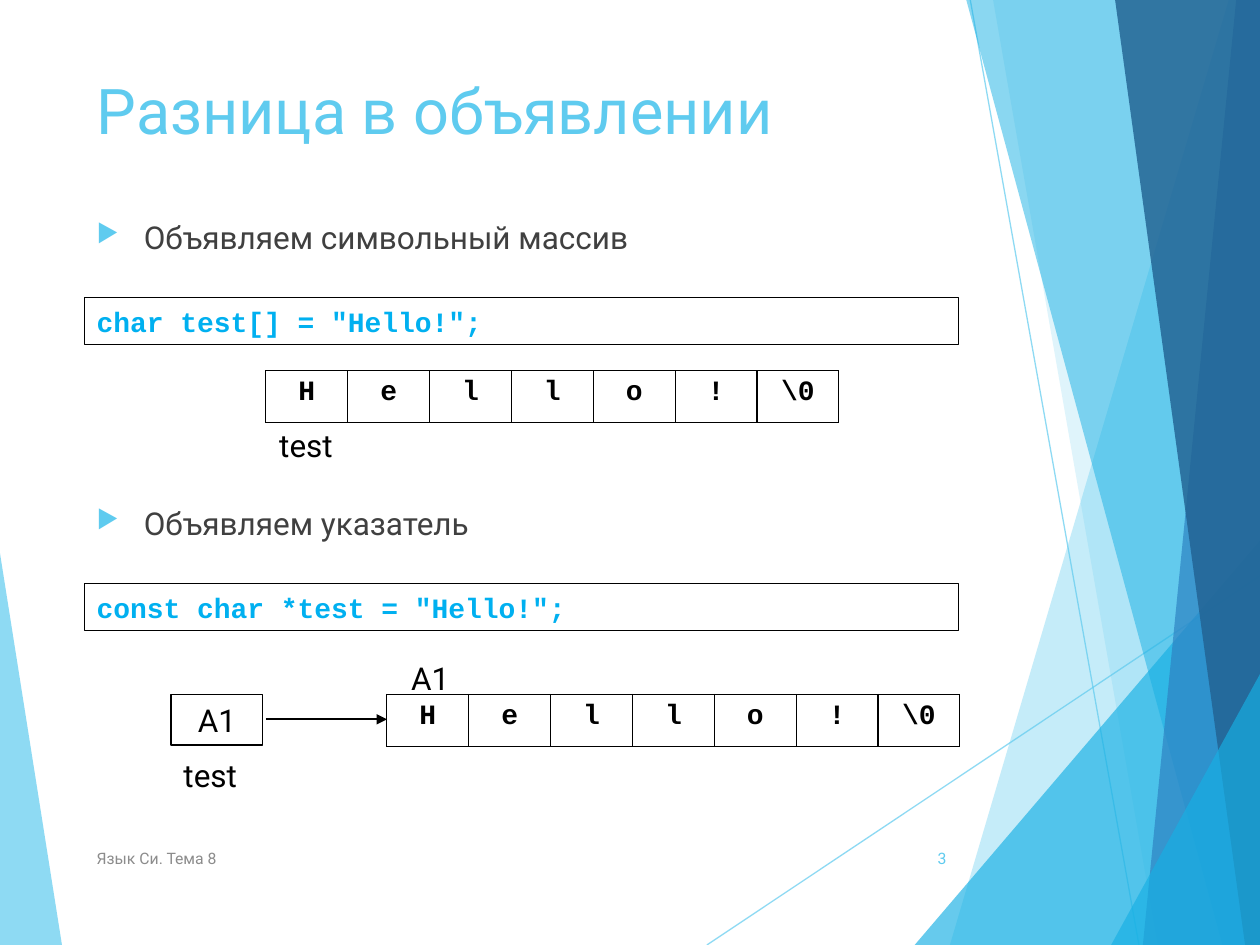
from dataclasses import dataclass

from lxml import etree
from pptx import Presentation
from pptx.dml.color import RGBColor
from pptx.enum.shapes import MSO_CONNECTOR, MSO_SHAPE
from pptx.enum.text import MSO_ANCHOR, PP_ALIGN
from pptx.oxml.ns import qn
from pptx.util import Cm, Pt

LEFT, CENTER, RIGHT = PP_ALIGN.LEFT, PP_ALIGN.CENTER, PP_ALIGN.RIGHT
TOP, MIDDLE = MSO_ANCHOR.TOP, MSO_ANCHOR.MIDDLE
RECTANGLE, STRAIGHT = MSO_SHAPE.RECTANGLE, MSO_CONNECTOR.STRAIGHT

SKY = RGBColor(0x5F, 0xCB, 0xEF)
AZURE = RGBColor(0x17, 0xB0, 0xE4)
BLUE = RGBColor(0x2E, 0x83, 0xC3)
NAVY = RGBColor(0x22, 0x62, 0x92)
CODE_BLUE = RGBColor(0x00, 0xB0, 0xF0)
BLACK = RGBColor(0x00, 0x00, 0x00)
DARK_GRAY = RGBColor(0x40, 0x40, 0x40)
GRAY = RGBColor(0x8C, 0x8C, 0x8C)

BODY_FONT, CODE_FONT = "Roboto", "Courier New"
WIDTH, HEIGHT = 25.4, 19.05
MARGIN, CONTENT_WIDTH = 1.7, 17.63
CELL_WIDTH, CELL_HEIGHT = 1.65, 1.04
LABEL_WIDTH, LABEL_HEIGHT = 1.85, 1.02
CHARACTERS = ["H", "e", "l", "l", "o", "!", r"\0"]


@dataclass
class Facet:
    points: list[tuple[float, float]]
    color: RGBColor
    opacity: int


@dataclass
class TextBox:
    text: str
    left: float
    top: float
    width: float
    height: float
    size: float = 18
    color: RGBColor = BLACK
    font: str = BODY_FONT
    bold: bool = False
    align: PP_ALIGN = LEFT
    anchor: MSO_ANCHOR = TOP
    framed: bool = False
    bullet: bool = False


# Background facets, from back to front
LEFT_FACET = Facet([(0, 11.15), (1.25, HEIGHT), (0, HEIGHT)], SKY, 70)
RIGHT_FACETS = [
    Facet([(24.77, 0), (19.15, HEIGHT), (WIDTH, HEIGHT), (WIDTH, 0)], SKY, 36),
    Facet([(20.02, 0), (23.34, HEIGHT), (WIDTH, HEIGHT), (WIDTH, 0)], SKY, 20),
    Facet([(18.44, HEIGHT), (WIDTH, 10.9), (WIDTH, HEIGHT)], AZURE, 66),
    Facet([(19.48, 0), (24.64, HEIGHT), (WIDTH, HEIGHT), (WIDTH, 0)], AZURE, 50),
    Facet([(24.92, 0), (23.04, HEIGHT), (WIDTH, HEIGHT), (WIDTH, 0)], BLUE, 70),
    Facet([(22.48, 0), (25.1, HEIGHT), (WIDTH, HEIGHT), (WIDTH, 0)], NAVY, 82),
    Facet([(22.4, HEIGHT), (WIDTH, 13.59), (WIDTH, HEIGHT)], AZURE, 66),
]


def set_opacity(properties, percent: int) -> None:
    color = next(properties.iter(qn("a:srgbClr")))
    etree.SubElement(color, qn("a:alpha"), val=str(percent * 1000))


def draw_facet(slide, facet: Facet) -> None:
    start, *others = [(Cm(x), Cm(y)) for x, y in facet.points]
    builder = slide.shapes.build_freeform(*start)
    builder.add_line_segments(others, close=True)
    shape = builder.convert_to_shape()
    shape.shadow.inherit = False
    shape.fill.solid()
    shape.fill.fore_color.rgb = facet.color
    shape.line.fill.background()
    set_opacity(shape.fill._xPr, facet.opacity)


def draw_line(slide, start: tuple[float, float], end: tuple[float, float],
              color: RGBColor, width: float):
    connector = slide.shapes.add_connector(
        STRAIGHT, Cm(start[0]), Cm(start[1]), Cm(end[0]), Cm(end[1]))
    connector.line.color.rgb = color
    connector.line.width = Pt(width)
    etree.SubElement(connector._element.spPr, qn("a:effectLst"))
    return connector


def add_bullet(paragraph) -> None:
    properties = paragraph._p.get_or_add_pPr()
    indent = Cm(0.95)
    properties.set("marL", str(indent))
    properties.set("indent", str(-indent))
    color = etree.SubElement(properties, qn("a:buClr"))
    etree.SubElement(color, qn("a:srgbClr"), val=str(SKY))
    etree.SubElement(properties, qn("a:buSzPct"), val="80000")
    etree.SubElement(properties, qn("a:buChar"), char="▶")


def format_run(paragraph, font: str, size: float, color: RGBColor, bold: bool) -> None:
    run_font = paragraph.runs[0].font
    run_font.name = font
    run_font.size = Pt(size)
    run_font.color.rgb = color
    run_font.bold = bold


def draw_text(slide, box: TextBox) -> None:
    place = Cm(box.left), Cm(box.top), Cm(box.width), Cm(box.height)
    if box.framed:
        shape = slide.shapes.add_shape(RECTANGLE, *place)
        shape.shadow.inherit = False
        shape.fill.background()
        shape.line.color.rgb = BLACK
        shape.line.width = Pt(0.75)
    else:
        shape = slide.shapes.add_textbox(*place)
    frame = shape.text_frame
    frame.word_wrap = True
    frame.vertical_anchor = box.anchor
    frame.text = box.text
    paragraph = frame.paragraphs[0]
    paragraph.alignment = box.align
    if box.bullet:
        add_bullet(paragraph)
    format_run(paragraph, box.font, box.size, box.color, box.bold)


def set_borders(cell) -> None:
    properties = cell._tc.get_or_add_tcPr()
    for side in ("a:lnL", "a:lnR", "a:lnT", "a:lnB"):
        line = etree.SubElement(properties, qn(side), w=str(Pt(0.75)))
        fill = etree.SubElement(line, qn("a:solidFill"))
        etree.SubElement(fill, qn("a:srgbClr"), val=str(BLACK))


def draw_characters(slide, left: float, top: float) -> None:
    count = len(CHARACTERS)
    table = slide.shapes.add_table(
        1, count, Cm(left), Cm(top), Cm(CELL_WIDTH * count), Cm(CELL_HEIGHT)).table
    table.first_row = table.horz_banding = False
    for column, character in enumerate(CHARACTERS):
        table.columns[column].width = Cm(CELL_WIDTH)
        cell = table.cell(0, column)
        set_borders(cell)
        cell.fill.background()
        cell.text_frame.text = character
        paragraph = cell.text_frame.paragraphs[0]
        paragraph.alignment = CENTER
        format_run(paragraph, CODE_FONT, 16, BLACK, True)


def draw_declaration(slide, top: float, heading: str, code: str) -> None:
    draw_text(slide, TextBox(heading, MARGIN, top, CONTENT_WIDTH, 1.42,
                             color=DARK_GRAY, bullet=True))
    draw_text(slide, TextBox(code, MARGIN, top + 1.73, CONTENT_WIDTH, 0.95, 16,
                             CODE_BLUE, CODE_FONT, bold=True, anchor=MIDDLE, framed=True))


def draw_label(slide, text: str, left: float, top: float, **style) -> None:
    draw_text(slide, TextBox(text, left, top, LABEL_WIDTH, LABEL_HEIGHT, **style))


def main() -> None:
    presentation = Presentation()
    presentation.slide_width, presentation.slide_height = Cm(WIDTH), Cm(HEIGHT)
    slide = presentation.slides.add_slide(presentation.slide_layouts[6])

    # Background
    draw_facet(slide, LEFT_FACET)
    for start, end in [((14.25, HEIGHT), (WIDTH, 11.61)), ((19.56, 0), (22.96, HEIGHT))]:
        ray = draw_line(slide, start, end, SKY, 0.75)
        set_opacity(ray.line._ln, 70)
    for facet in RIGHT_FACETS:
        draw_facet(slide, facet)

    # Title and footer
    draw_text(slide, TextBox("Разница в объявлении", MARGIN, 1.32, CONTENT_WIDTH, 2, 36, SKY))
    draw_text(slide, TextBox("Язык Си. Тема 8", MARGIN, 16.79, 12.85, 1.02, 9, GRAY,
                             anchor=MIDDLE))
    draw_text(slide, TextBox("3", 17.91, 16.79, 1.42, 1.02, 9, SKY,
                             align=RIGHT, anchor=MIDDLE))

    # Character array
    draw_declaration(slide, 4.27, "Объявляем символьный массив", 'char test[] = "Hello!";')
    draw_characters(slide, 5.36, 7.47)
    draw_label(slide, "test", 5.38, 8.46)

    # Pointer to a string
    draw_declaration(slide, 10.03, "Объявляем указатель", 'const char *test = "Hello!";')
    draw_characters(slide, 7.8, 14)
    draw_label(slide, "test", 3.45, 15.11)
    arrow = draw_line(slide, (5.36, 14.5), (7.8, 14.5), BLACK, 1)
    etree.SubElement(arrow.line._ln, qn("a:tailEnd"), type="triangle")
    draw_label(slide, "A1", 3.45, 14, align=CENTER, anchor=MIDDLE, framed=True)
    draw_label(slide, "A1", 7.75, 13.16, align=CENTER)

    presentation.save("out.pptx")


if __name__ == "__main__":
    main()
